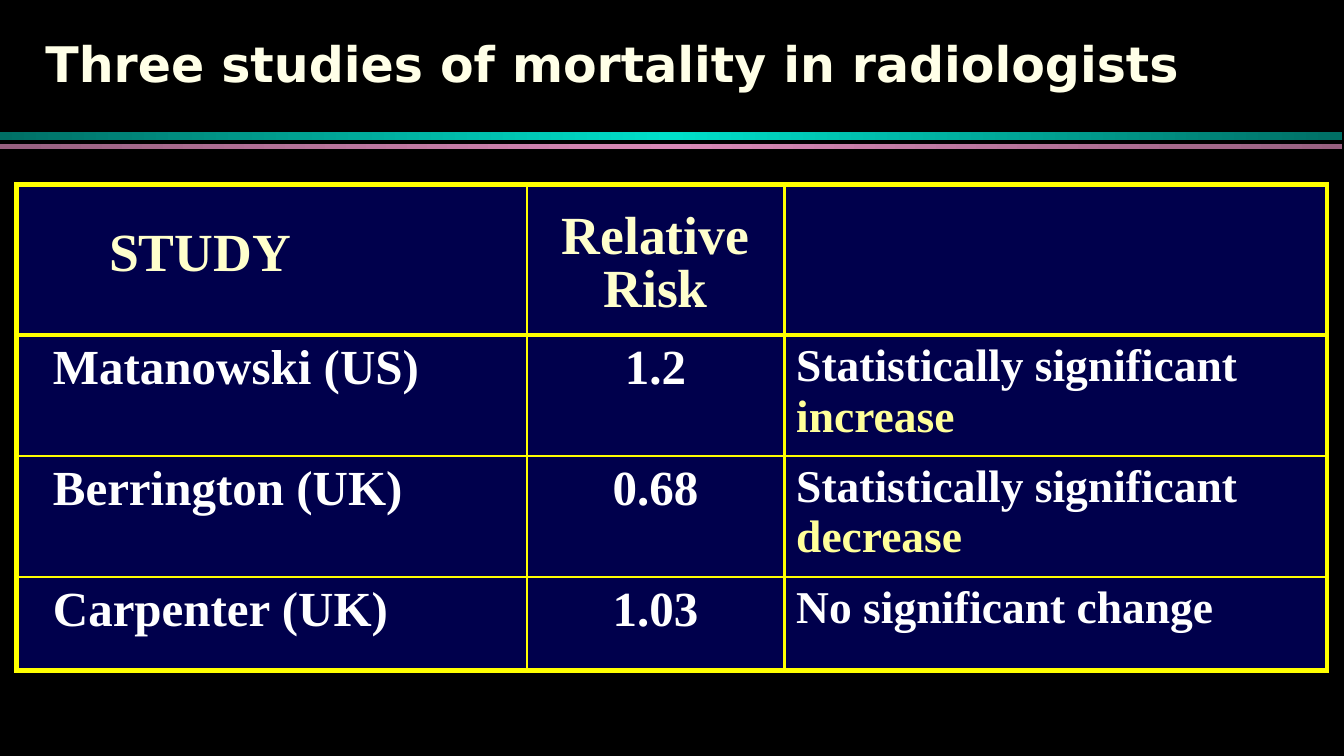
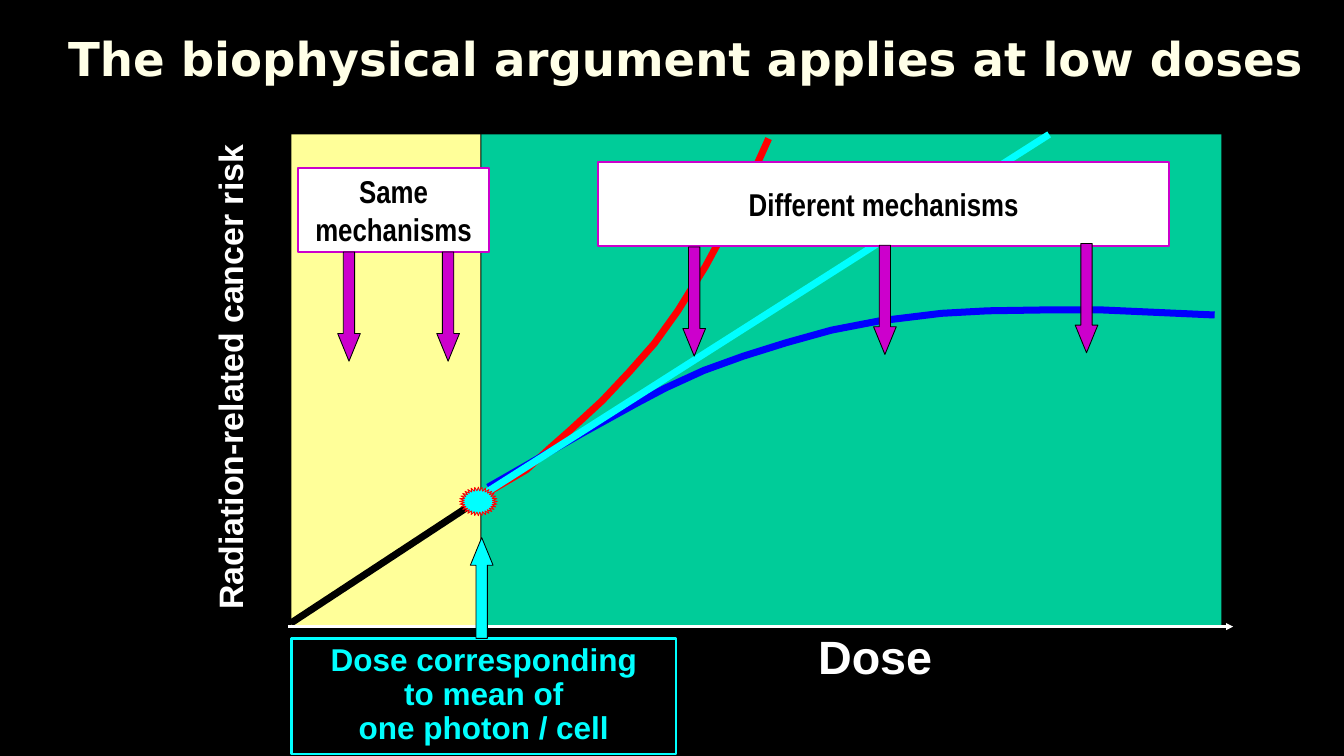
from lxml.etree import SubElement
from pptx import Presentation
from pptx.dml.color import RGBColor
from pptx.enum.shapes import MSO_CONNECTOR, MSO_SHAPE
from pptx.enum.text import MSO_ANCHOR, MSO_AUTO_SIZE, PP_ALIGN
from pptx.oxml.ns import qn
from pptx.util import Inches, Pt

HUES = {
    "black": "000000", "white": "FFFFFF", "cream": "FFFFE7",
    "head": "FFFFCC", "pale": "FFFF99", "yellow": "FFFF00",
    "navy": "000099", "green": "00CC99", "cyan": "00FFFF",
    "red": "FF0000", "blue": "0000FF", "plum": "CC00CC",
    "teal": "00DFCA", "deep": "006F65", "pink": "D989B8", "mauve": "976080",
}
SERIF, SANS, SLIM = "Times New Roman", "Arial", "Arial Narrow"

# Slide 1: top, height, edge hue, middle hue
BANDS = [(1.57, 0.1, "deep", "teal"), (1.72, 0.05, "mauve", "pink")]
COLS = [6.07, 3.07, 6.46]
ROWS = [1.79, 1.44, 1.44, 1.11]
STUDIES = [
    ("Matanowski (US)", "1.2", "Statistically significant ", "increase"),
    ("Berrington (UK)", "0.68", "Statistically significant ", "decrease"),
    ("Carpenter (UK)", "1.03", "No significant change", ""),
]

# Slide 2
ZONES = [(3.47, 2.25, "pale"), (5.73, 8.81, "green")]
CURVES = [
    ("red", [(5.76, 5.89), (6.27, 5.59), (6.53, 5.35), (6.79, 5.12),
             (7.17, 4.77), (7.49, 4.43), (7.79, 4.09), (8.07, 3.7),
             (8.4, 3.17), (8.67, 2.67), (8.93, 2.14), (9.15, 1.65)]),
    ("blue", [(14.46, 3.75), (13.13, 3.69), (12.4, 3.69), (11.76, 3.7),
              (11.21, 3.73), (10.47, 3.82), (9.9, 3.93), (9.36, 4.08),
              (8.85, 4.24), (8.38, 4.41), (7.92, 4.62), (7.58, 4.8),
              (6.91, 5.17), (5.81, 5.8)]),
]
LINES = [
    ((3.46, 7.42), (5.76, 5.91), "black", 6, False),
    ((5.73, 5.9), (12.49, 1.6), "cyan", 6, False),
    ((3.43, 7.46), (14.68, 7.46), "white", 2, True),
]
LABELS = [
    ((3.55, 2, 2.27, 1), ["Same", "mechanisms"]),
    ((7.12, 1.93, 6.8, 1), ["Different mechanisms"]),
]
ARROWS = [(4.02, 3), (5.2, 3), (8.13, 2.94), (10.4, 2.92), (12.8, 2.9)]
AXES = [
    ((9.6, 7.4, 2.8, 0.68), "Dose", 40, 0),
    ((-0.19, 4.17, 5.84, 0.62), "Radiation-related cancer risk", 29, 270),
]


def rgb(hue):
    return RGBColor.from_string(HUES[hue])


def place(box):
    return [Inches(n) for n in box]


def inset(part, left=0.14, top=0.07, right=0.14, low=0.07):
    part.margin_left, part.margin_top = Inches(left), Inches(top)
    part.margin_right, part.margin_bottom = Inches(right), Inches(low)


def add_run(para, text, size, face, hue):
    run = para.add_run()
    run.text = text
    font = run.font
    font.size, font.name, font.bold = Pt(size), face, True
    font.color.rgb = rgb(hue)


def write(frame, lines, size, face, hue, align=PP_ALIGN.LEFT):
    """Fill the first paragraph, with a line break between lines."""
    para = frame.paragraphs[0]
    para.alignment = align
    for i, line in enumerate(lines):
        if i:
            para.add_line_break()
        add_run(para, line, size, face, hue)
    return para


def add_page(deck, box, text, size):
    page = deck.slides.add_slide(deck.slide_layouts[5])
    title = page.shapes.title
    title.left, title.top, title.width, title.height = place(box)
    frame = title.text_frame
    frame.word_wrap = True
    frame.auto_size = MSO_AUTO_SIZE.NONE
    frame.vertical_anchor = MSO_ANCHOR.TOP
    inset(frame)
    write(frame, [text], size, "DejaVu Sans", "cream")
    return page.shapes


def add_form(shapes, kind, box, fill=None, line=None, width=0.75):
    form = shapes.add_shape(kind, *place(box))
    form.shadow.inherit = False
    if fill:
        form.fill.solid()
        form.fill.fore_color.rgb = rgb(fill)
    else:
        form.fill.background()
    if line:
        form.line.color.rgb = rgb(line)
        form.line.width = Pt(width)
    else:
        form.line.fill.background()
    return form


def add_arrow(shapes, kind, box, fill):
    arrow = add_form(shapes, kind, box, fill, "black")
    arrow.adjustments[0], arrow.adjustments[1] = 0.5, 1.22


def add_band(shapes, top, height, edge, mid):
    band = add_form(shapes, MSO_SHAPE.RECTANGLE, (0, top, 15.98, height))
    band.fill.gradient()
    band.fill.gradient_angle = 0
    stops = band._element.spPr.find(".//" + qn("a:gsLst"))
    for stop in list(stops):
        stops.remove(stop)
    for pos, hue in ((0, edge), (50, mid), (100, edge)):
        stop = SubElement(stops, qn("a:gs"), pos=str(pos * 1000))
        SubElement(stop, qn("a:srgbClr"), val=HUES[hue])


def style_cell(cell, row, col):
    """Thick rules round the table and under the head, thin ones inside."""
    props = cell._tc.get_or_add_tcPr()
    thick = {"L": col == 0, "R": col == len(COLS) - 1,
             "T": row < 2, "B": row in (0, len(ROWS) - 1)}
    for side, wide in thick.items():
        rule = SubElement(props, qn("a:ln" + side),
                          w=str(Pt(4.5 if wide else 2.25)))
        fill = SubElement(rule, qn("a:solidFill"))
        SubElement(fill, qn("a:srgbClr"), val=HUES["yellow"])
    cell.fill.solid()
    cell.fill.fore_color.rgb = rgb("navy")
    tint = props.find(qn("a:solidFill")).find(qn("a:srgbClr"))
    SubElement(tint, qn("a:alpha"), val="50000")
    inset(cell)


def add_studies(shapes):
    table = shapes.add_table(len(ROWS), len(COLS), *place(
        (0.2, 2.2, sum(COLS), sum(ROWS)))).table
    table.first_row = table.horz_banding = False
    for col, width in zip(table.columns, COLS):
        col.width = Inches(width)
    for row, height in zip(table.rows, ROWS):
        row.height = Inches(height)
    for r in range(len(ROWS)):
        for c in range(len(COLS)):
            style_cell(table.cell(r, c), r, c)

    study, risk = table.cell(0, 0), table.cell(0, 1)
    inset(study, left=1.1, top=0.46)
    write(study.text_frame, ["STUDY"], 46, SERIF, "head")
    inset(risk, top=0.32)
    para = write(risk.text_frame, ["Relative Risk"], 46, SERIF, "head",
                 PP_ALIGN.CENTER)
    para.line_spacing = 0.9

    for r, (name, ratio, note, trend) in enumerate(STUDIES, 1):
        cells = [table.cell(r, c) for c in range(len(COLS))]
        inset(cells[0], left=0.43)
        write(cells[0].text_frame, [name], 42, SERIF, "white")
        write(cells[1].text_frame, [ratio], 42, SERIF, "white",
              PP_ALIGN.CENTER)
        para = write(cells[2].text_frame, [note], 39, SERIF, "white")
        if trend:
            add_run(para, trend, 39, SERIF, "pale")


def add_curve(shapes, hue, points):
    start, *rest = [place(p) for p in points]
    path = shapes.build_freeform(*start)
    path.add_line_segments(rest, close=False)
    curve = path.convert_to_shape()
    curve.shadow.inherit = False
    curve.fill.background()
    curve.line.color.rgb = rgb(hue)
    curve.line.width = Pt(6)


def add_line(shapes, start, end, hue, width, head):
    line = shapes.add_connector(MSO_CONNECTOR.STRAIGHT,
                                *place(start), *place(end))
    line.line.color.rgb = rgb(hue)
    line.line.width = Pt(width)
    props = line._element.spPr
    if head:
        SubElement(props.find(qn("a:ln")), qn("a:tailEnd"), type="triangle")
    SubElement(props, qn("a:effectLst"))


def add_plot(shapes):
    for left, width, hue in ZONES:
        add_form(shapes, MSO_SHAPE.RECTANGLE, (left, 1.6, width, 5.87), hue)

    photon = add_form(shapes, MSO_SHAPE.RECTANGLE, (3.47, 7.6, 4.58, 1.38),
                      line="cyan", width=2)
    frame = photon.text_frame
    frame.word_wrap = True
    frame.vertical_anchor = MSO_ANCHOR.TOP
    inset(frame)
    para = write(frame, ["Dose corresponding", "to mean of",
                         "one photon / cell"], 27, SANS, "cyan",
                 PP_ALIGN.CENTER)
    para.line_spacing = 0.9

    for curve in CURVES:
        add_curve(shapes, *curve)
    for line in LINES:
        add_line(shapes, *line)
    for box, text, size, turn in AXES:
        axis = shapes.add_textbox(*place(box))
        axis.rotation = turn
        axis.text_frame.word_wrap = True
        inset(axis.text_frame)
        write(axis.text_frame, [text], size, SANS, "white")

    add_arrow(shapes, MSO_SHAPE.UP_ARROW, (5.6, 6.4, 0.27, 1.2), "cyan")
    star = add_form(shapes, MSO_SHAPE.STAR_32_POINT,
                    (5.47, 5.8, 0.45, 0.34), "cyan", "red")
    star.adjustments[0] = 0.375
    for box, lines in LABELS:
        label = add_form(shapes, MSO_SHAPE.RECTANGLE, box, "white", "plum", 2)
        frame = label.text_frame
        frame.word_wrap = False
        frame.vertical_anchor = MSO_ANCHOR.MIDDLE
        inset(frame, left=0, right=0)
        write(frame, lines, 27, SLIM, "black", PP_ALIGN.CENTER)
    for left, top in ARROWS:
        add_arrow(shapes, MSO_SHAPE.DOWN_ARROW, (left, top, 0.27, 1.3), "plum")


def main():
    deck = Presentation()
    deck.slide_width, deck.slide_height = Inches(16), Inches(9)
    back = deck.slide_master.background.fill
    back.solid()
    back.fore_color.rgb = rgb("black")

    shapes = add_page(deck, (0.4, 0.33, 15.33, 0.84),
                      "Three studies of mortality in radiologists", 42)
    add_studies(shapes)
    for band in BANDS:
        add_band(shapes, *band)

    shapes = add_page(deck, (0.67, 0.28, 15.33, 0.84),
                      "The biophysical argument applies at low doses", 40)
    add_plot(shapes)
    deck.save("out.pptx")


if __name__ == "__main__":
    main()
